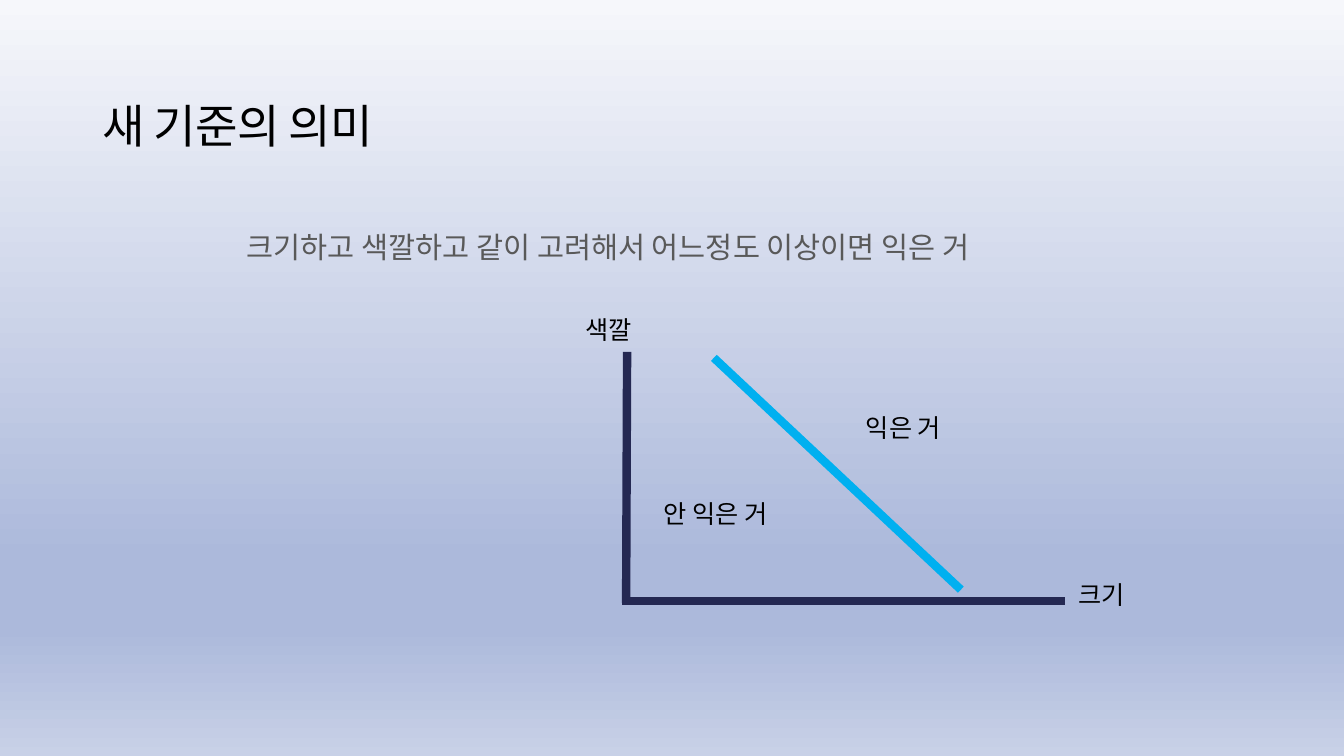
import copy
from dataclasses import dataclass

import pptx
import pptx.dml.color
import pptx.enum.shapes
import pptx.enum.text
import pptx.oxml
import pptx.oxml.ns
import pptx.util

Inches = pptx.util.Inches
Pt = pptx.util.Pt
qn = pptx.oxml.ns.qn


@dataclass(frozen=True)
class Theme:
    """Colours, fonts and sizes of the slide."""
    ink: str = "000000"
    muted: str = "595959"
    axis: str = "242852"
    boundary: str = "00B0F0"
    background: tuple = ((0, "F6F7FB"), (74, "ACB9DB"), (83, "ACB9DB"), (100, "C8D1E7"))
    font: str = "Calibri"
    body_font: str = "Noto Sans CJK KR"
    title_size: int = 33
    body_size: int = 21
    label_size: int = 18
    line_width: int = 6


THEME = Theme()


def rgb(value):
    """Turn a hex string into a colour."""
    return pptx.dml.color.RGBColor.from_string(value)


def paint_background(s):
    """Fill the slide with a vertical gradient."""
    fill = s.background.fill
    fill.gradient()
    fill.gradient_angle = 270
    stops = s.element.find(".//" + qn("a:gsLst"))
    while len(stops) < len(THEME.background):
        stops.append(copy.deepcopy(stops[0]))
    for stop, (position, colour) in zip(fill.gradient_stops, THEME.background):
        stop.position = position / 100
        stop.color.rgb = rgb(colour)


def add_text(s, box, text, size, colour=THEME.ink, font=THEME.font):
    """Add a one-paragraph text box and return its frame and paragraph."""
    tf = s.shapes.add_textbox(*map(Inches, box)).text_frame
    tf.word_wrap = True
    tf.margin_left = tf.margin_top = tf.margin_right = tf.margin_bottom = Inches(0.1)
    p = tf.paragraphs[0]
    p.text = text
    p.font.size = Pt(size)
    p.font.name = font
    p.font.color.rgb = rgb(colour)
    return tf, p


def add_title(s, box):
    """Place the title, centred vertically in its box."""
    tf, p = add_text(s, box, "새 기준의 의미", THEME.title_size)
    tf.vertical_anchor = pptx.enum.text.MSO_ANCHOR.MIDDLE
    p.line_spacing = 0.9
    p._p.pPr.find(qn("a:defRPr")).set("spc", "-60")


def add_body(s, box):
    """Place the explanatory sentence with a hanging indent."""
    _, p = add_text(s, box, "크기하고 색깔하고 같이 고려해서 어느정도 이상이면 익은 거",
                    THEME.body_size, THEME.muted, THEME.body_font)
    p.line_spacing = 0.9
    p._p.pPr.set("marL", str(Inches(0.19)))
    p._p.pPr.set("indent", str(-Inches(0.19)))


def add_line(s, start, end, colour):
    """Draw a thick straight line without a shadow."""
    line = s.shapes.add_connector(pptx.enum.shapes.MSO_CONNECTOR.STRAIGHT,
                                  *map(Inches, start + end))
    line.line.color.rgb = rgb(colour)
    line.line.width = Pt(THEME.line_width)
    line._element.spPr.append(pptx.oxml.parse_xml(
        f"<a:effectLst {pptx.oxml.ns.nsdecls('a')}/>"))


def add_graph(s, box):
    """Draw the two axes, the decision boundary and their labels in the box."""
    left, top, width, height = box
    labels = (
        ("익은 거", 2.32, 0.5, 1.6, 0.57),
        ("안 익은 거", 0.31, 1.35, 1.6, 0.57),
        ("크기", 4.43, 2.16, 0.82, 0.39),
        ("색깔", -0.46, -0.47, 0.82, 0.39),
    )
    for text, x, y, w, h in labels:
        add_text(s, (left + x, top + y, w, h), text, THEME.label_size)
    base = top + height
    add_line(s, (left, base), (left + width, base), THEME.axis)
    add_line(s, (left + 0.91, top + 0.06), (left + 3.36, base - 0.11), THEME.boundary)
    add_line(s, (left + 0.05, top), (left + 0.04, base + 0.02), THEME.axis)


def main():
    """Build and save the slide."""
    prs = pptx.Presentation()
    prs.slide_width, prs.slide_height = Inches(13.33), Inches(7.5)
    s = prs.slides.add_slide(prs.slide_layouts[6])
    paint_background(s)
    add_title(s, (0.92, 0.92, 11.5, 0.71))
    add_body(s, (2.35, 2.21, 8.49, 0.82))
    add_graph(s, (6.17, 3.49, 4.39, 2.47))
    prs.save("out.pptx")


if __name__ == "__main__":
    main()
